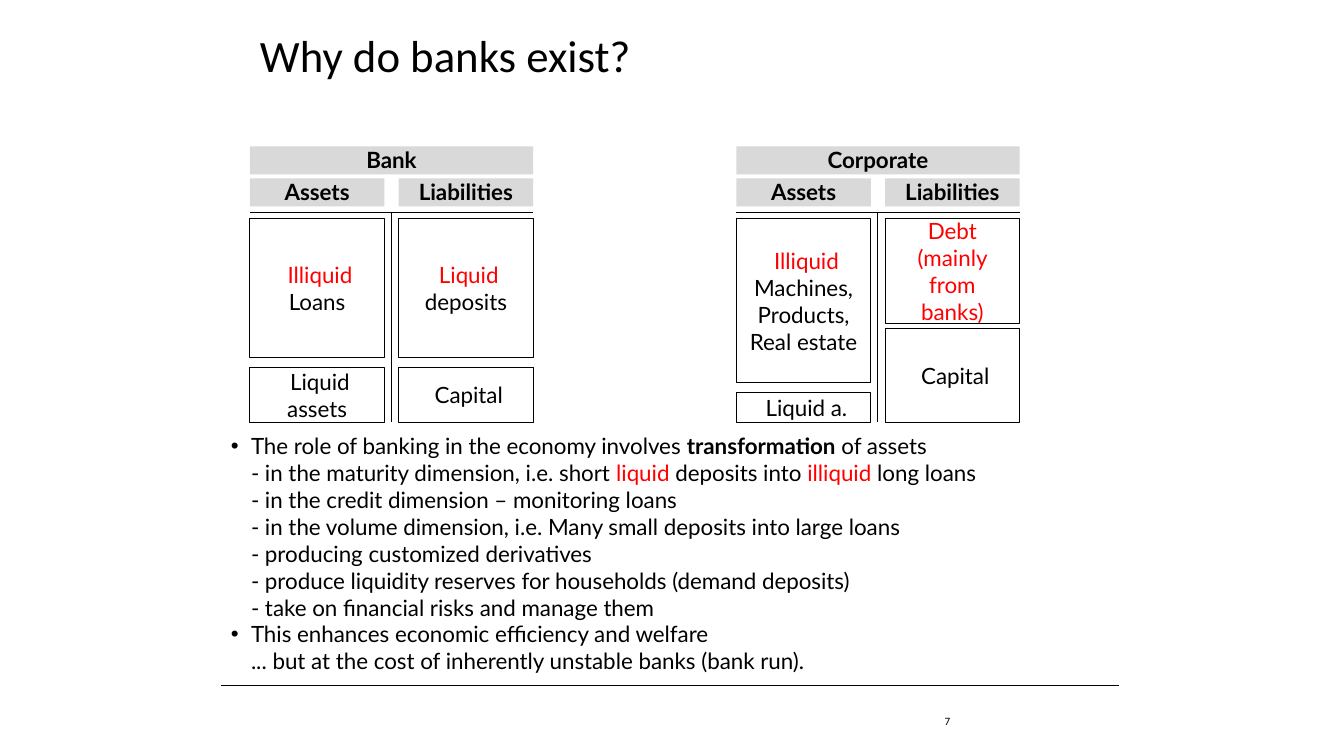
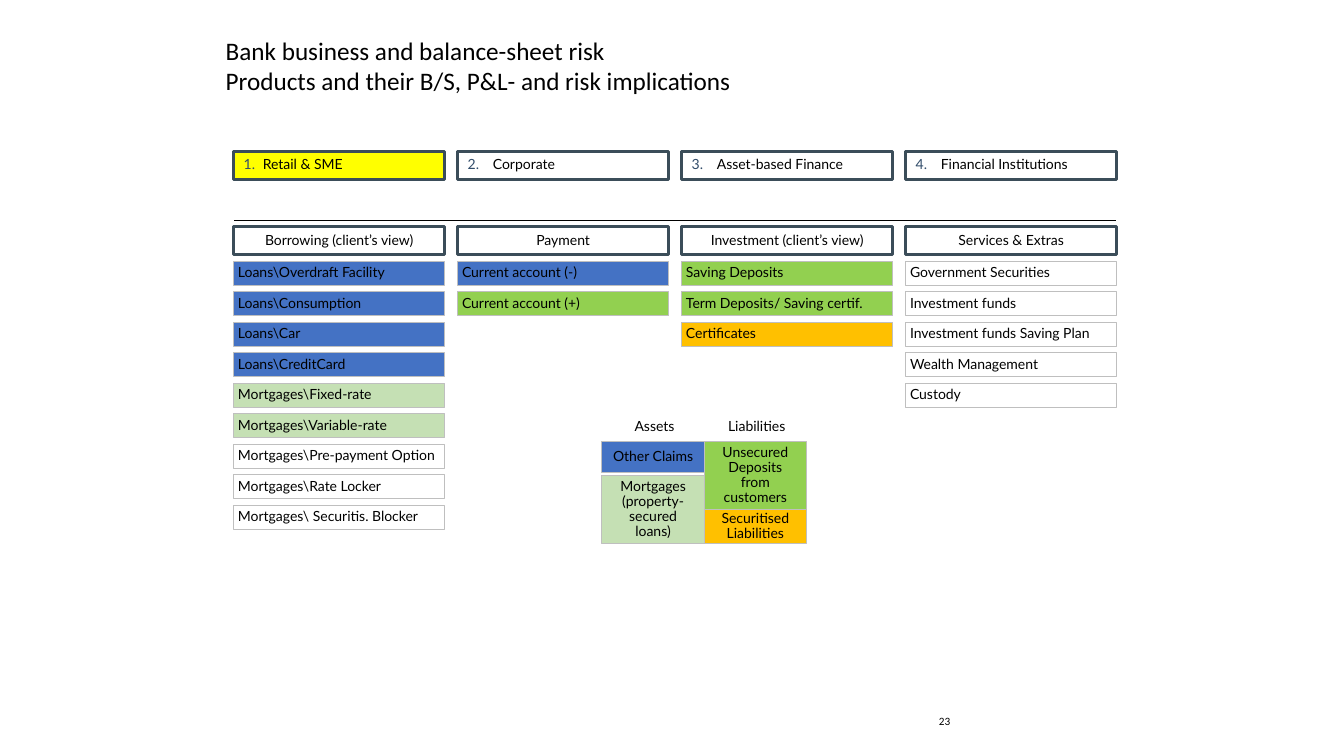
"""Build two slides on why banks exist and on their products."""
from copy import deepcopy

from lxml import etree
from pptx import Presentation
from pptx import util as u
from pptx.dml.color import RGBColor
from pptx.enum import shapes, text
from pptx.oxml import ns

COLOURS = {
    "black": "000000", "white": "FFFFFF", "red": "FF0000", "grey": "D9D9D9",
    "border": "BFBFBF", "slate": "3B4D59", "number": "314C6A", "yellow": "FFFF00",
    "claim": "4472C4", "mortgage": "C5E0B4", "deposit": "92D050", "security": "FFC000",
}
LEFT, CENTRE, RIGHT = text.PP_ALIGN.LEFT, text.PP_ALIGN.CENTER, text.PP_ALIGN.RIGHT
TOP, MIDDLE = text.MSO_ANCHOR.TOP, text.MSO_ANCHOR.MIDDLE
RECT, CHEVRON = shapes.MSO_SHAPE.RECTANGLE, shapes.MSO_SHAPE.CHEVRON


def colour(name):
    return RGBColor.from_string(COLOURS[name])


class Deck:
    """Hold the deck style and the current page."""

    def __init__(self):
        self.deck = Presentation()
        self.deck.slide_width, self.deck.slide_height = u.Pt(960), u.Pt(540)
        self.page = None

    def add_page(self, layout, title, number, place, size):
        self.page = self.deck.slides.add_slide(self.deck.slide_layouts[layout])
        self.place(self.page.shapes.title, place)
        self.fill_text(self.page.shapes.title, [title], size, face="Calibri")
        box = self.page.shapes.add_textbox(*map(u.Pt, (653, 500.5, 33, 29)))
        self.fill_text(box, [number], 8, RIGHT, MIDDLE, face="Calibri")

    def place(self, box, place):
        box.left, box.top, box.width, box.height = map(u.Pt, place)

    def fill_text(self, box, paras, size, align=LEFT, anchor=TOP,
                  inset=(7.2, 3.6), spacing=1.0, face="Lato", bold=False):
        frame = box.text_frame
        frame.word_wrap, frame.auto_size = True, text.MSO_AUTO_SIZE.NONE
        frame.vertical_anchor = anchor
        frame.margin_left = frame.margin_right = u.Pt(inset[0])
        frame.margin_top = frame.margin_bottom = u.Pt(inset[1])
        for index, content in enumerate(paras):
            para = frame.add_paragraph() if index else frame.paragraphs[0]
            para.alignment, para.line_spacing = align, spacing
            para.space_before = u.Pt(0)
            self.add_spans(para, content, size, face, bold)

    def add_spans(self, para, content, size, face, bold):
        pieces = [(content, "plain")] if isinstance(content, str) else content
        for words, look in pieces:
            for index, line in enumerate(words.split("\v")):
                if index:
                    para.add_line_break()
                span = para.add_run()
                span.text = line
                span.font.name, span.font.size = face, u.Pt(size)
                span.font.bold = bold or look == "bold"
                span.font.color.rgb = colour("red" if look == "red" else "black")
        for line_break in para._p.findall(ns.qn("a:br")):
            line_break.append(deepcopy(para.runs[0]._r.rPr))

    def indent(self, para, points):
        properties = para._p.get_or_add_pPr()
        properties.set("marL", str(u.Pt(points)))
        properties.set("indent", str(-u.Pt(points)))
        return properties

    def number(self, para, start, points):
        properties = self.indent(para, points)
        tint = etree.SubElement(properties, ns.qn("a:buClr"))
        etree.SubElement(tint, ns.qn("a:srgbClr"), val=COLOURS["number"])
        etree.SubElement(properties, ns.qn("a:buAutoNum"),
                         type="arabicPeriod", startAt=str(start))

    def add_body(self, place, paras, size):
        body = self.page.placeholders[1]
        self.place(body, place)
        self.fill_text(body, paras, size)
        for para in body.text_frame.paragraphs:
            properties = self.indent(para, 14.4)
            etree.SubElement(properties, ns.qn("a:buFont"), typeface="Arial")
            etree.SubElement(properties, ns.qn("a:buChar"), char="•")

    def add_box(self, place, content, size, fill=None, line=None, weight=0.75,
                kind=RECT, **style):
        box = self.page.shapes.add_shape(kind, *map(u.Pt, place))
        box.shadow.inherit = False
        if kind == CHEVRON:
            box.adjustments[0] = 0
        if fill:
            box.fill.solid()
            box.fill.fore_color.rgb = colour(fill)
        else:
            box.fill.background()
        if line:
            box.line.color.rgb, box.line.width = colour(line), u.Pt(weight)
        else:
            box.line.fill.background()
        self.fill_text(box, [content], size, **style)
        return box

    def add_heading(self, place, content, line="slate", fill="white", align=CENTRE):
        return self.add_box(place, content, 10, fill, line, 2, CHEVRON,
                            align=align, anchor=MIDDLE, spacing=0.9)

    def add_product(self, place, content, fill, align=LEFT, inset=3):
        self.add_box(place, content, 10, fill, "border", align=align,
                     anchor=MIDDLE, inset=(inset, 0), spacing=0.9)

    def add_rule(self, start, end, weight=0.75):
        rule = self.page.shapes.add_connector(
            shapes.MSO_CONNECTOR.STRAIGHT, *map(u.Pt, start + end))
        rule.line.color.rgb, rule.line.width = colour("black"), u.Pt(weight)
        etree.SubElement(rule._element.spPr, ns.qn("a:effectLst"))

    def add_balance_sheet(self, left, name, sides):
        width, column, top, bottom = 202.3, 96, 156.2, 301.7
        header = {"size": 16, "fill": "grey", "align": CENTRE,
                  "inset": (7.2, 0), "bold": True}
        self.add_box((left, 104.5, width, 20), name, **header)
        self.add_rule((left, 152), (left + width, 152))
        self.add_rule((left + width / 2, 152.5), (left + width / 2, bottom))
        for index, (side, upper, lower) in enumerate(sides):
            x = left + index * (width - column)
            self.add_box((x, 127.5, column, 20), side, **header)
            for y, (height, content) in ((top, upper), (bottom - lower[0], lower)):
                self.add_box((x, y, column, height), content, 16, line="black",
                             align=CENTRE, anchor=MIDDLE, inset=(7.2, 0))


def build_reasons(deck):
    deck.add_page(1, "Why do banks exist?", "7", (178.5, 16.5, 579, 42.5), 32)
    deck.add_body((157.7, 305.3, 641.5, 184.3), [
        [("The role of banking in the economy involves ", "plain"),
         ("transformation", "bold"),
         (" of assets\v- in the maturity dimension, i.e. short ", "plain"),
         ("liquid", "red"), (" deposits into ", "plain"), ("illiquid", "red"),
         (" long loans\v- in the credit dimension – monitoring loans"
          "\v- in the volume dimension, i.e. Many small deposits into large loans"
          "\v- producing customized derivatives"
          "\v- produce liquidity reserves for households (demand deposits)"
          "\v- take on financial risks and manage them", "plain")],
        "This enhances economic efficiency and welfare"
        "\v... but at the cost of inherently unstable banks (bank run).",
    ], 16)
    deck.add_rule((157.7, 489.6), (799.2, 489.6))
    deck.add_balance_sheet(178.5, "Bank", [
        ("Assets", (99.4, [(" Illiquid ", "red"), ("Loans", "plain")]),
         (39, " Liquid assets")),
        ("Liabilities", (99.4, [(" Liquid ", "red"), ("deposits", "plain")]),
         (39, " Capital")),
    ])
    deck.add_balance_sheet(526, "Corporate", [
        ("Assets", (117.4, [(" Illiquid ", "red"),
                            ("Machines, Products, Real estate", "plain")]),
         (21, " Liquid a.")),
        ("Liabilities", (75, [("Debt (mainly from banks)", "red")]),
         (67, " Capital")),
    ])


def build_products(deck):
    deck.add_page(5, "Bank business and balance-sheet risk"
                     "\vProducts and their B/S, P&L- and risk implications",
                  "23", (154, 21.6, 686, 58.3), 18)
    left, step, width = 167, 160, 150.5
    columns = [
        ("Retail & SME", "Borrowing (client’s view)", [
            ("Loans\\Overdraft Facility", "claim"), ("Loans\\Consumption", "claim"),
            ("Loans\\Car", "claim"), ("Loans\\CreditCard", "claim"),
            ("Mortgages\\Fixed-rate", "mortgage"),
            ("Mortgages\\Variable-rate", "mortgage"),
            ("Mortgages\\Pre-payment Option", None),
            ("Mortgages\\Rate Locker", None),
            ("Mortgages\\ Securitis. Blocker", None)]),
        ("Corporate", "Payment", [
            ("Current account (-)", "claim"), ("Current account (+)", "deposit")]),
        ("Asset-based Finance", "Investment (client’s view)", [
            ("Saving Deposits", "deposit"),
            ("Term Deposits/ Saving certif.", "deposit"),
            ("Certificates", "security")]),
        ("Financial Institutions", "Services & Extras", [
            ("Government Securities", None), ("Investment funds", None),
            ("Investment funds Saving Plan", None),
            ("Wealth Management", None), ("Custody", None)]),
    ]
    deck.add_rule((left, 157.7), (left + 3 * step + width, 157.7), 1)
    for index, (segment, heading, products) in enumerate(columns):
        x = left + index * step
        box = deck.add_heading((x, 108, width, 20), segment, align=LEFT,
                               fill="white" if index else "yellow")
        deck.number(box.text_frame.paragraphs[0], index + 1, 18 if index else 13.7)
        deck.add_heading((x, 162, width, 20), heading)
        for row, (product, fill) in enumerate(products):
            deck.add_product((x, 186.5 + row * 21.8, width, 17.3), product, fill)

    cell = 73
    legend = [
        ("Assets", [("Other Claims", "claim", 315.4, 22.3),
                    ("Mortgages (property-secured loans)", "mortgage", 339.8, 48.3)]),
        ("Liabilities", [
            ("Unsecured Deposits from\vcustomers", "deposit", 315.4, 48.3),
            ("Securitised Liabilities", "security", 363.7, 24.4)]),
    ]
    for index, (side, entries) in enumerate(legend):
        x = 430 + index * cell
        deck.add_heading((x + 1, 295.2, cell, 20), side, line=None)
        for content, fill, top, height in entries:
            deck.add_product((x, top, cell, height), content, fill, CENTRE, 6)


def main():
    deck = Deck()
    build_reasons(deck)
    build_products(deck)
    deck.deck.save("out.pptx")


if __name__ == "__main__":
    main()
